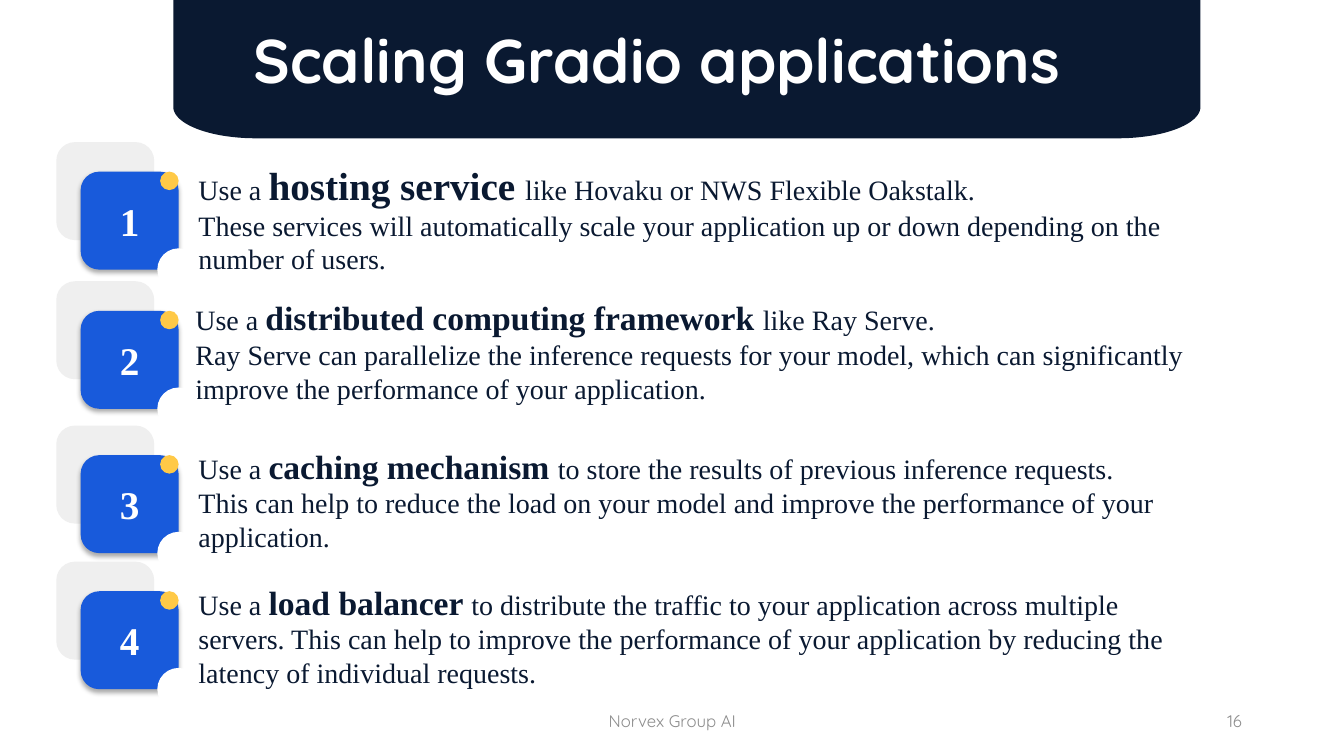
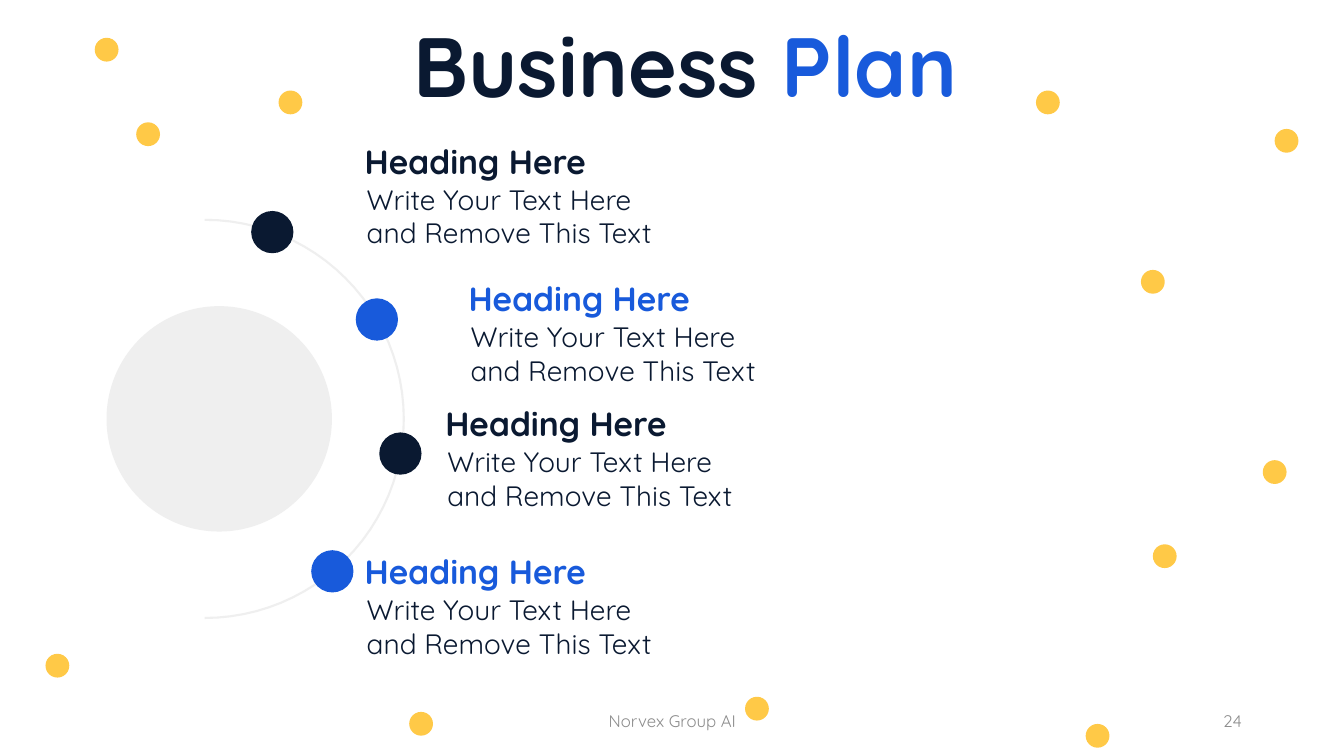
import math

import pptx
import pptx.dml.color
import pptx.enum.shapes
import pptx.enum.text
import pptx.oxml
import pptx.util

Pt = pptx.util.Pt
SHAPE = pptx.enum.shapes.MSO_SHAPE
ALIGN = pptx.enum.text.PP_ALIGN
ANCHOR = pptx.enum.text.MSO_ANCHOR
FIT = pptx.enum.text.MSO_AUTO_SIZE

COLORS = {
    "navy": "0A1931", "blue": "185ADB", "amber": "FFC947",
    "pale": "EFEFEF", "white": "FFFFFF", "muted": "8C8C8C",
}
SANS, SERIF = "Quicksand", "Times New Roman"
BODY = {"name": SERIF, "size": Pt(20), "color": "navy"}
NUMBER = {"name": SERIF, "size": Pt(28), "bold": True, "color": "white"}
FOOTER = {"name": SANS, "size": Pt(12), "color": "muted"}
TITLE = {"name": SANS, "bold": True}
GROW = {"auto_size": FIT.SHAPE_TO_FIT_TEXT}
SHADOW = (
    '<a:effectLst xmlns:a="http://schemas.openxmlformats.org/drawingml/2006/main">'
    '<a:outerShdw blurRad="44450" dist="27940" dir="5400000" algn="ctr" rotWithShape="0">'
    '<a:srgbClr val="000000"><a:alpha val="32000"/></a:srgbClr>'
    '</a:outerShdw></a:effectLst>'
)

STRATEGIES = [
    (101.5, 134.64, 111.6, 718.56, 28, "hosting service ",
     "like Hovaku or NWS Flexible Oakstalk. ",
     "These services will automatically scale your application up or down "
     "depending on the number of users."),
    (200.9, 132.48, 208.8, 722.16, 24, "distributed computing framework ",
     "like Ray Serve.",
     "Ray Serve can parallelize the inference requests for your model, which "
     "can significantly improve the performance of your application."),
    (304, 134.64, 314.64, 713.52, 24, "caching mechanism ",
     "to store the results of previous inference requests.",
     "This can help to reduce the load on your model and improve the "
     "performance of your application."),
    (401.2, 134.64, 411.84, 713.52, 24, "load balancer ",
     "to distribute the traffic to your application across multiple servers. "
     "This can help to improve the performance of your application by reducing "
     "the latency of individual requests.", None),
]
PLAN_STEPS = [
    (194.5, 165.8, 253.44, 97.2, "navy"),
    (269.2, 228.2, 327.6, 195.12, "blue"),
    (286, 324, 311.04, 284.4, "navy"),
    (237.4, 408.1, 253.44, 390.24, "blue"),
]
CONFETTI = [
    (207.5, 73.2), (76.2, 35.5), (105.8, 95.9), (300.8, 517), (41, 475.5),
    (540.7, 506.2), (910.5, 337.2), (832, 397.3), (823.5, 201.3),
    (748.5, 73.2), (919, 100.6), (784, 525.6),
]


def rgb(color):
    return pptx.dml.color.RGBColor.from_string(COLORS[color])


def apply_format(target, values):
    for key, value in values.items():
        if key == "color":
            target.color.rgb = rgb(value)
        else:
            setattr(target, key, value)


def write(frame, paragraphs, layout, align=ALIGN.LEFT):
    apply_format(frame, {"word_wrap": True, **layout})
    for index, runs in enumerate(paragraphs):
        paragraph = frame.add_paragraph() if index else frame.paragraphs[0]
        paragraph.alignment = align
        for words, style in runs:
            run = paragraph.add_run()
            run.text = words
            apply_format(run.font, style)


def add_text(slide, box, paragraphs, layout, align=ALIGN.LEFT):
    frame = slide.shapes.add_textbox(*map(Pt, box)).text_frame
    write(frame, paragraphs, layout, align)


def paint(shape, color):
    shape.shadow.inherit = False
    shape.fill.solid()
    shape.fill.fore_color.rgb = rgb(color)
    shape.line.fill.background()


def add_dot(slide, center_x, center_y, diameter, color):
    corner = (center_x - diameter / 2, center_y - diameter / 2)
    dot = slide.shapes.add_shape(
        SHAPE.OVAL, *map(Pt, (*corner, diameter, diameter)))
    paint(dot, color)


def add_tile(slide, left, top, size, color):
    tile = slide.shapes.add_shape(
        SHAPE.ROUNDED_RECTANGLE, *map(Pt, (left, top, size, size)))
    tile.adjustments[0] = 0.19
    paint(tile, color)
    return tile


def curve(center_x, center_y, radius_x, radius_y, start, end, steps=48):
    angles = [math.radians(start + (end - start) * step / steps)
              for step in range(steps + 1)]
    return [(Pt(center_x + radius_x * math.cos(angle)),
             Pt(center_y + radius_y * math.sin(angle))) for angle in angles]


def add_outline(slide, points, closed):
    builder = slide.shapes.build_freeform(*points[0])
    builder.add_line_segments(points[1:], close=closed)
    return builder.convert_to_shape()


def add_title_band(slide):
    left, right, bottom, radius_x, radius_y = 123.8, 857.5, 98.8, 59, 22.5
    shoulder = bottom - radius_y
    points = [(Pt(left), 0), (Pt(right), 0)]
    points += curve(right - radius_x, shoulder, radius_x, radius_y, 0, 90)
    points += curve(left + radius_x, shoulder, radius_x, radius_y, 90, 180)
    paint(add_outline(slide, points, True), "navy")


def add_orbit(slide):
    add_dot(slide, 156.6, 299.2, 161, "pale")
    orbit = add_outline(slide, curve(146.2, 299.2, 142.2, 142.2, 90, -90), False)
    orbit.shadow.inherit = False
    orbit.fill.background()
    apply_format(orbit.line, {"color": "pale", "width": Pt(1.5)})


def add_title(slide, box, runs, size):
    styled = [(words, {**TITLE, "size": Pt(size), "color": color})
              for words, color in runs]
    add_text(slide, box, [styled], {**GROW, "word_wrap": False}, ALIGN.CENTER)


def add_footer(slide, page):
    middle = {"vertical_anchor": ANCHOR.MIDDLE}
    for left, width, words, align in (
            (318.24, 324, "Norvex Group AI", ALIGN.CENTER),
            (678.24, 216, page, ALIGN.RIGHT)):
        add_text(slide, (left, 500.4, width, 28.8), [[(words, FOOTER)]],
                 middle, align)


def add_badge(slide, top, number):
    size, left, front_top = 70, 57.6, top + 21.1
    right, bottom = left + size, front_top + size
    add_tile(slide, 40.2, top, size, "pale")
    front = add_tile(slide, left, front_top, size, "blue")
    properties = front._element.spPr
    properties.remove(properties.find(pptx.oxml.ns.qn("a:effectLst")))
    properties.append(pptx.oxml.parse_xml(SHADOW))
    write(front.text_frame, [[(str(number), NUMBER)]],
          {"vertical_anchor": ANCHOR.MIDDLE}, ALIGN.CENTER)
    add_dot(slide, right, bottom, 30.4, "white")
    add_dot(slide, right - 6.6, front_top + 6.6, 13.2, "amber")


def add_strategy(slide, number, strategy):
    badge_top, left, top, width, size, term, rest, detail = strategy
    paragraphs = [[("Use a ", BODY),
                   (term, {**BODY, "size": Pt(size), "bold": True}),
                   (rest, BODY)]]
    if detail:
        paragraphs.append([(detail, BODY)])
    add_text(slide, (left, top, width, 85), paragraphs, GROW)
    add_badge(slide, badge_top, number)


def add_plan_step(slide, dot_x, dot_y, left, top, color):
    add_dot(slide, dot_x, dot_y, 30.2, color)
    add_text(slide, (left + 1.44, top + 29.52, 237.6, 55.44),
             [[("Write Your Text Here and Remove This Text",
                {**BODY, "name": SANS})]], GROW)
    add_text(slide, (left, top, 177.12, 36),
             [[("Heading Here", {**TITLE, "size": Pt(24), "color": color})]],
             {**GROW, "word_wrap": False})


def build_scaling(slide):
    add_title_band(slide)
    add_title(slide, (169.2, 12.24, 612.72, 60.48),
              [("Scaling Gradio applications ", "white")], 44)
    for number, strategy in enumerate(STRATEGIES, 1):
        add_strategy(slide, number, strategy)
    add_footer(slide, "16")


def build_plan(slide):
    for center in CONFETTI:
        add_dot(slide, *center, 17, "amber")
    add_orbit(slide)
    for step in PLAN_STEPS:
        add_plan_step(slide, *step)
    add_title(slide, (285.84, 5.76, 407.52, 79.92),
              [("Business", "navy"), (" Plan", "blue")], 60)
    add_footer(slide, "24")


def main():
    deck = pptx.Presentation()
    apply_format(deck, {"slide_width": Pt(960), "slide_height": Pt(540)})
    for build in (build_scaling, build_plan):
        build(deck.slides.add_slide(deck.slide_layouts[6]))
    deck.save("out.pptx")


main()
